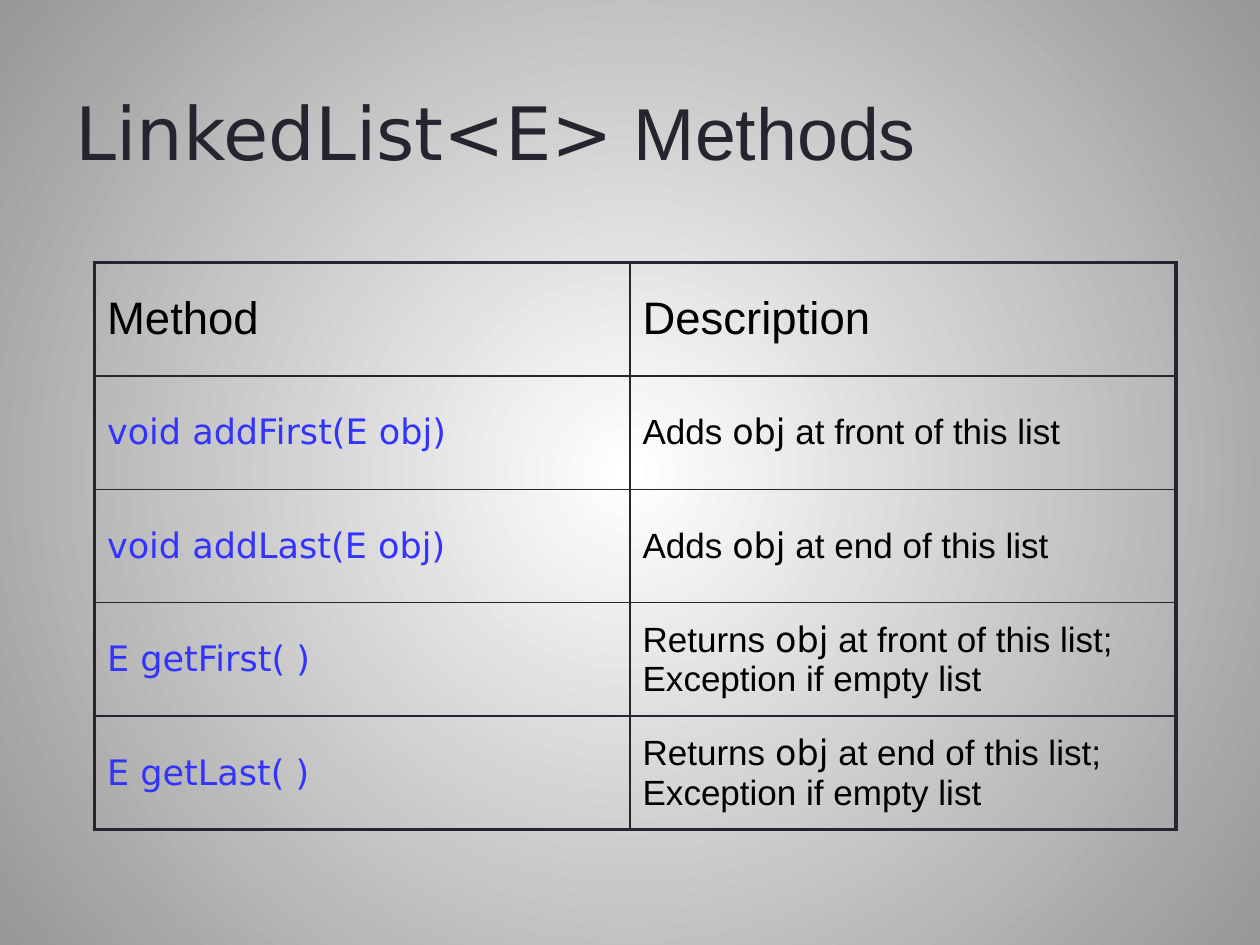
"""Build a slide with a table of LinkedList<E> methods."""
from lxml import etree
from pptx import Presentation
from pptx.dml.color import RGBColor
from pptx.enum.text import MSO_ANCHOR, PP_ALIGN
from pptx.oxml.ns import qn
from pptx.util import Pt

MIDDLE = MSO_ANCHOR.MIDDLE
LEFT = PP_ALIGN.LEFT
COLORS = {"dark": "25252F", "text": "000000", "code": "3333FF",
          "center": "FFFFFF", "edge": "979797"}
TEXT_FONT = "Arial"
CODE_FONT = "DejaVu Sans"
OUTER, INNER = 2.25, 1


def add_run(paragraph, text, size, font, color):
    run = paragraph.add_run()
    run.text = text
    run.font.size = Pt(size)
    run.font.name = font
    run.font.bold = False
    run.font.color.rgb = RGBColor.from_string(COLORS[color])


def add_borders(cell, widths):
    properties = cell._tc.get_or_add_tcPr()
    for index, (side, width) in enumerate(widths.items()):
        line = etree.Element(qn(f"a:ln{side}"), w=str(Pt(width)))
        fill = etree.SubElement(line, qn("a:solidFill"))
        etree.SubElement(fill, qn("a:srgbClr"), val=COLORS["dark"])
        properties.insert(index, line)


presentation = Presentation()
presentation.slide_width = Pt(720)
presentation.slide_height = Pt(540)
slide = presentation.slides.add_slide(presentation.slide_layouts[5])

background = slide.background.fill
background.gradient()
for stop, color in zip(background.gradient_stops, ("center", "edge")):
    stop.color.rgb = RGBColor.from_string(COLORS[color])
gradient = slide.element.find(".//" + qn("a:gradFill"))
gradient.remove(gradient.find(qn("a:lin")))
circle = etree.SubElement(gradient, qn("a:path"), path="circle")
etree.SubElement(circle, qn("a:fillToRect"), l="50000", t="50000", r="50000", b="50000")

title = slide.shapes.title
title.left, title.top, title.width, title.height = Pt(36), Pt(15), Pt(636), Pt(120)
title.text_frame.vertical_anchor = MIDDLE
title_paragraph = title.text_frame.paragraphs[0]
title_paragraph.alignment = LEFT
add_run(title_paragraph, "LinkedList<E>", 42, CODE_FONT, "dark")
add_run(title_paragraph, " Methods", 42, TEXT_FONT, "dark")

rows = [[[("Method", TEXT_FONT, "text")], [("Description", TEXT_FONT, "text")]]]
for method, verb, ending in (
    ("void addFirst(E obj)", "Adds ", " at front of this list"),
    ("void addLast(E obj)", "Adds ", " at end of this list"),
    ("E getFirst( )", "Returns ", " at front of this list; Exception if empty list"),
    ("E getLast( )", "Returns ", " at end of this list; Exception if empty list"),
):
    rows.append([
        [(method, CODE_FONT, "code")],
        [(verb, TEXT_FONT, "text"), ("obj", CODE_FONT, "text"), (ending, TEXT_FONT, "text")],
    ])

table = slide.shapes.add_table(len(rows), 2, Pt(54), Pt(150), Pt(618), Pt(324)).table
table.first_row = False
table.horz_banding = False
for column, width in zip(table.columns, (306, 312)):
    column.width = Pt(width)

last_row = len(rows) - 1
for row_index, row in enumerate(rows):
    table.rows[row_index].height = Pt(64.8)
    size = 26 if row_index == 0 else 20
    for column_index, runs in enumerate(row):
        cell = table.cell(row_index, column_index)
        cell.fill.background()
        cell.vertical_anchor = MIDDLE
        add_borders(cell, {
            "L": OUTER if column_index == 0 else INNER,
            "R": OUTER if column_index == 1 else INNER,
            "T": OUTER if row_index == 0 else INNER,
            "B": OUTER if row_index == last_row else INNER,
        })
        paragraph = cell.text_frame.paragraphs[0]
        paragraph.alignment = LEFT
        paragraph.space_before = Pt(0.2 * size)
        for text, font, color in runs:
            add_run(paragraph, text, size, font, color)

presentation.save("out.pptx")
